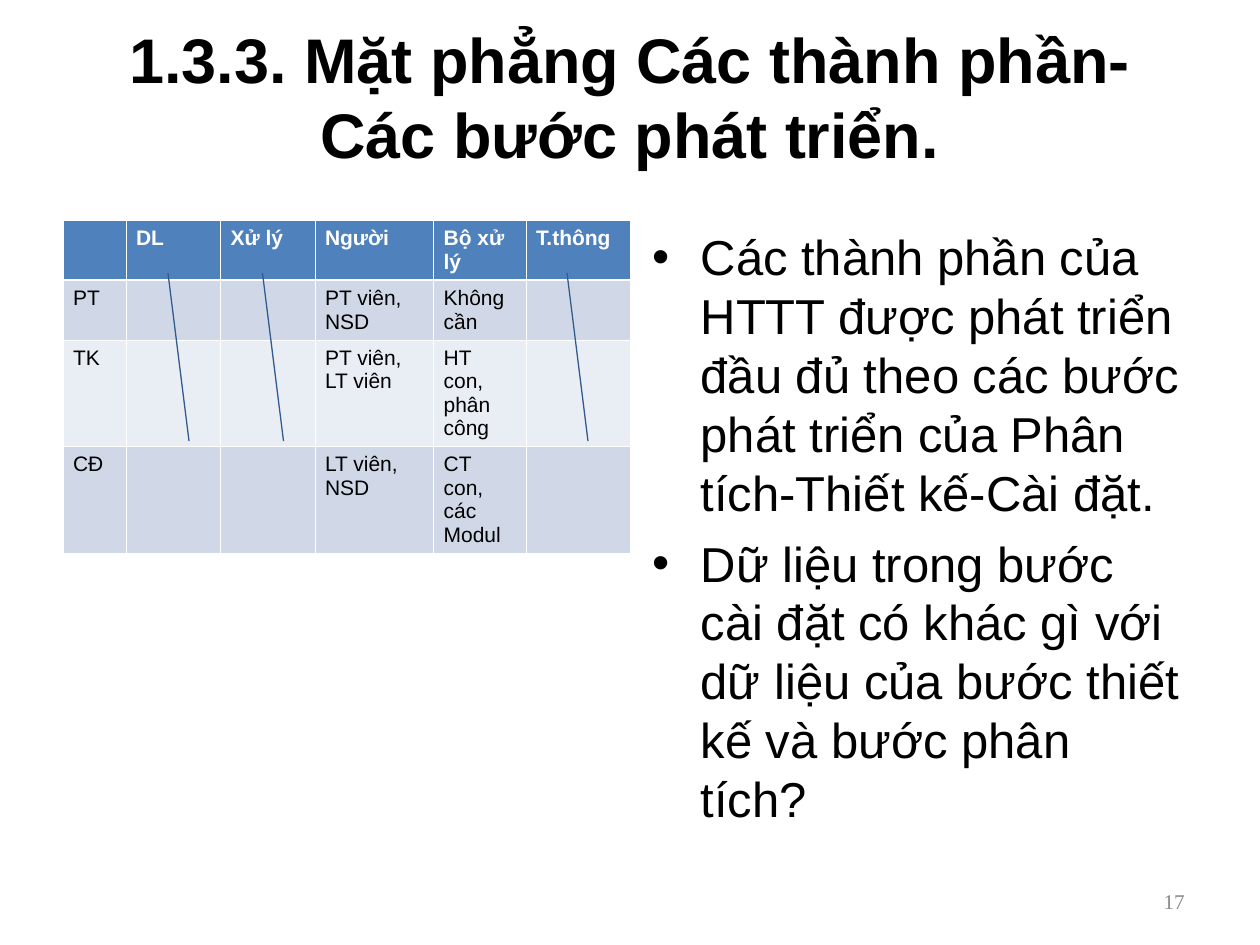
from dataclasses import dataclass
from lxml import etree
from pptx import Presentation
from pptx.dml.color import RGBColor
from pptx.enum.shapes import MSO_CONNECTOR
from pptx.enum.text import MSO_ANCHOR, MSO_AUTO_SIZE, PP_ALIGN
from pptx.oxml.ns import qn
from pptx.util import Inches, Pt

LINE = MSO_CONNECTOR.STRAIGHT
TOP, MIDDLE = MSO_ANCHOR.TOP, MSO_ANCHOR.MIDDLE
FIXED = MSO_AUTO_SIZE.NONE
LEFT, CENTER, RIGHT = PP_ALIGN.LEFT, PP_ALIGN.CENTER, PP_ALIGN.RIGHT
COLS, ROWS = 120, 90


@dataclass(frozen=True)
class Theme:
    font: str = "Arial"
    serif: str = "Times New Roman"
    ink: str = "000000"
    paper: str = "FFFFFF"
    head: str = "4F81BD"
    bands: tuple = ("D0D8E8", "E9EDF4")
    line: str = "325B8C"
    muted: str = "898989"
    title: int = 36
    body: int = 28
    small: int = 12
    rule: float = 0.45
    thick: float = 1.47
    stroke: float = 0.75


class Deck:
    def __init__(self, theme):
        self.theme = theme
        self.prs = Presentation()
        self.prs.slide_width = Inches(10)
        self.prs.slide_height = Inches(7.5)
        self.slide = self.prs.slides.add_slide(self.prs.slide_layouts[5])
        self.shapes = self.slide.shapes

    def wide(self, n):
        return round(self.prs.slide_width * n / COLS)

    def high(self, n):
        return round(self.prs.slide_height * n / ROWS)

    def box(self, x, y, w, h):
        return self.wide(x), self.high(y), self.wide(w), self.high(h)

    def style(self, para, size, color, bold=False, align=LEFT, face=None):
        para.alignment = align
        font = para.font
        font.name = face or self.theme.font
        font.size = Pt(size)
        font.bold = bold
        font.color.rgb = RGBColor.from_string(color)

    def title(self, text, *area):
        shape = self.shapes.title
        shape.left, shape.top, shape.width, shape.height = self.box(*area)
        frame = shape.text_frame
        frame.text = text
        frame.auto_size = FIXED
        frame.vertical_anchor = MIDDLE
        self.style(frame.paragraphs[0], self.theme.title, self.theme.ink, True, CENTER)

    def frame(self, anchor, *area):
        frame = self.shapes.add_textbox(*self.box(*area)).text_frame
        frame.word_wrap = True
        frame.vertical_anchor = anchor
        return frame

    def list(self, items, *area):
        frame = self.frame(TOP, *area)
        for i, item in enumerate(items):
            para = frame.paragraphs[0] if i == 0 else frame.add_paragraph()
            para.text = item
            if i:
                para.space_before = Pt(7)
            props = para._p.get_or_add_pPr()
            props.set("marL", str(Inches(0.38)))
            props.set("indent", str(-Inches(0.38)))
            etree.SubElement(props, qn("a:buFont"), typeface=self.theme.font)
            etree.SubElement(props, qn("a:buChar"), char="•")
            self.style(para, self.theme.body, self.theme.ink)

    def number(self, text, *area):
        para = self.frame(MIDDLE, *area).paragraphs[0]
        para.text = text
        self.style(para, self.theme.small, self.theme.muted, align=RIGHT, face=self.theme.serif)

    def edges(self, cell, row):
        props = cell._tc.get_or_add_tcPr()
        for side in "LRTB":
            heavy = (side, row) in (("B", 0), ("T", 1))
            width = self.theme.thick if heavy else self.theme.rule
            edge = etree.SubElement(props, qn("a:ln" + side), w=str(Pt(width)))
            fill = etree.SubElement(edge, qn("a:solidFill"))
            etree.SubElement(fill, qn("a:srgbClr"), val=self.theme.paper)

    def table(self, data, x, y, widths, heights):
        t = self.theme
        area = self.box(x, y, sum(widths), sum(heights))
        table = self.shapes.add_table(len(data), len(widths), *area).table
        for col, width in zip(table.columns, widths):
            col.width = self.wide(width)
        for row, height in zip(table.rows, heights):
            row.height = self.high(height)
        for r, texts in enumerate(data):
            back = t.bands[(r - 1) % 2] if r else t.head
            for c, text in enumerate(texts):
                cell = table.cell(r, c)
                self.edges(cell, r)
                cell.fill.solid()
                cell.fill.fore_color.rgb = RGBColor.from_string(back)
                cell.margin_left = cell.margin_right = Inches(0.08)
                cell.margin_top = cell.margin_bottom = Inches(0.05)
                cell.text = text
                color = t.ink if r else t.paper
                self.style(cell.text_frame.paragraphs[0], t.small, color, r == 0)

    def line(self, x1, y1, x2, y2):
        ends = self.wide(x1), self.high(y1), self.wide(x2), self.high(y2)
        link = self.shapes.add_connector(LINE, *ends)
        link.line.color.rgb = RGBColor.from_string(self.theme.line)
        link.line.width = Pt(self.theme.stroke)
        etree.SubElement(link._element.spPr, qn("a:effectLst"))


def main():
    deck = Deck(Theme())
    deck.title("1.3.3. Mặt phẳng Các thành phần- Các bước phát triển.", 6, 1.44, 108, 15.36)
    steps = [
        ["", "DL", "Xử lý", "Người", "Bộ xử lý", "T.thông"],
        ["PT", "", "", "PT viên, NSD", "Không cần", ""],
        ["TK", "", "", "PT viên, LT viên", "HT con, phân công", ""],
        ["CĐ", "", "", "LT viên, NSD", "CT con, các Modul", ""],
    ]
    deck.table(steps, 6, 21, (6, 9, 9, 11.3, 8.8, 9.9), (5, 5, 7.2, 7.2))
    points = [
        "Các thành phần của HTTT được phát triển đầu đủ theo các bước "
        "phát triển của Phân tích-Thiết kế-Cài đặt.",
        "Dữ liệu trong bước cài đặt có khác gì với dữ liệu của bước "
        "thiết kế và bước phân tích?",
    ]
    deck.list(points, 61, 21, 53, 59.4)
    for x in (16, 25, 54):
        deck.line(x, 26, x + 2, 42)
    deck.number("17", 86, 83.4, 28, 4.8)
    deck.prs.save("out.pptx")


if __name__ == "__main__":
    main()
